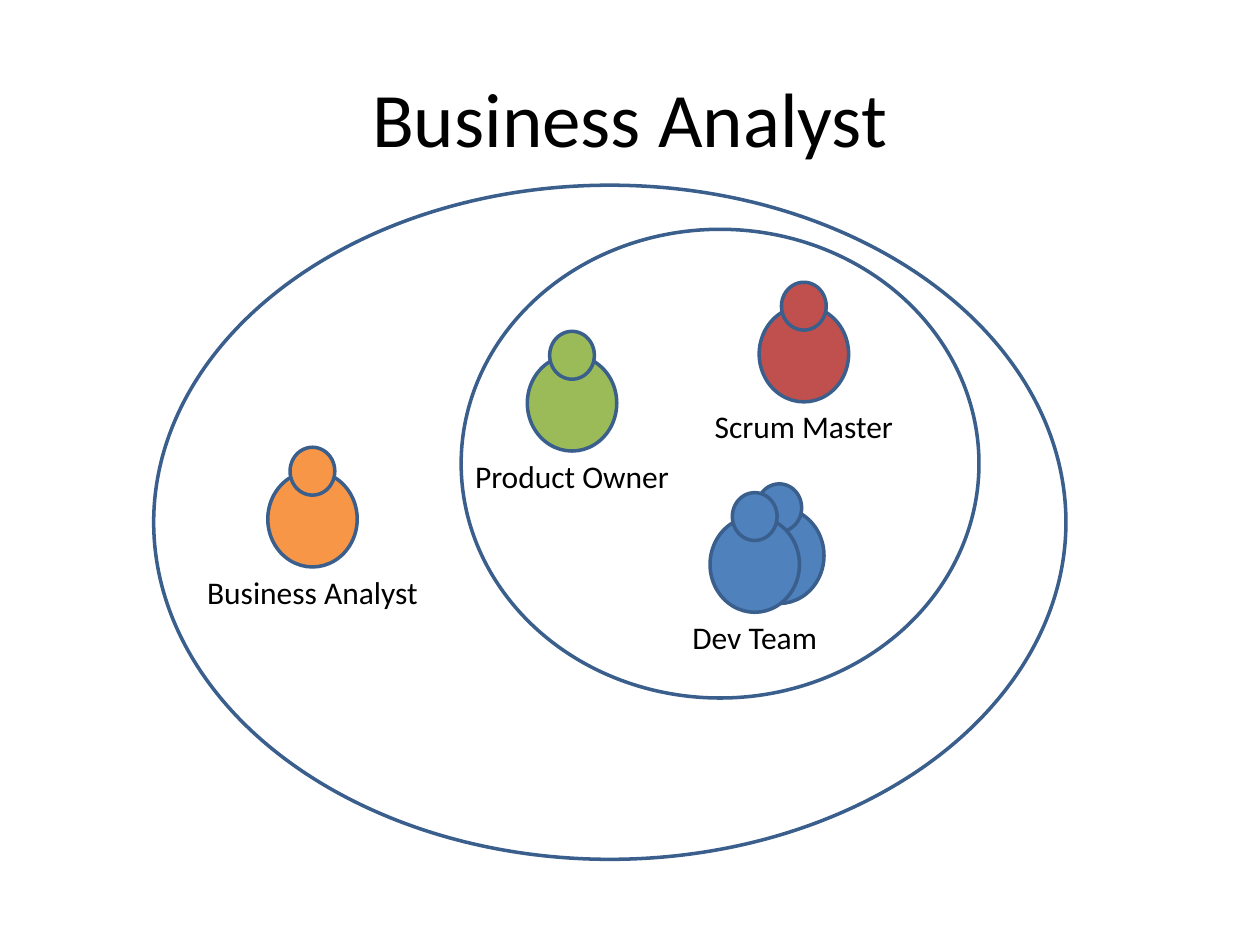
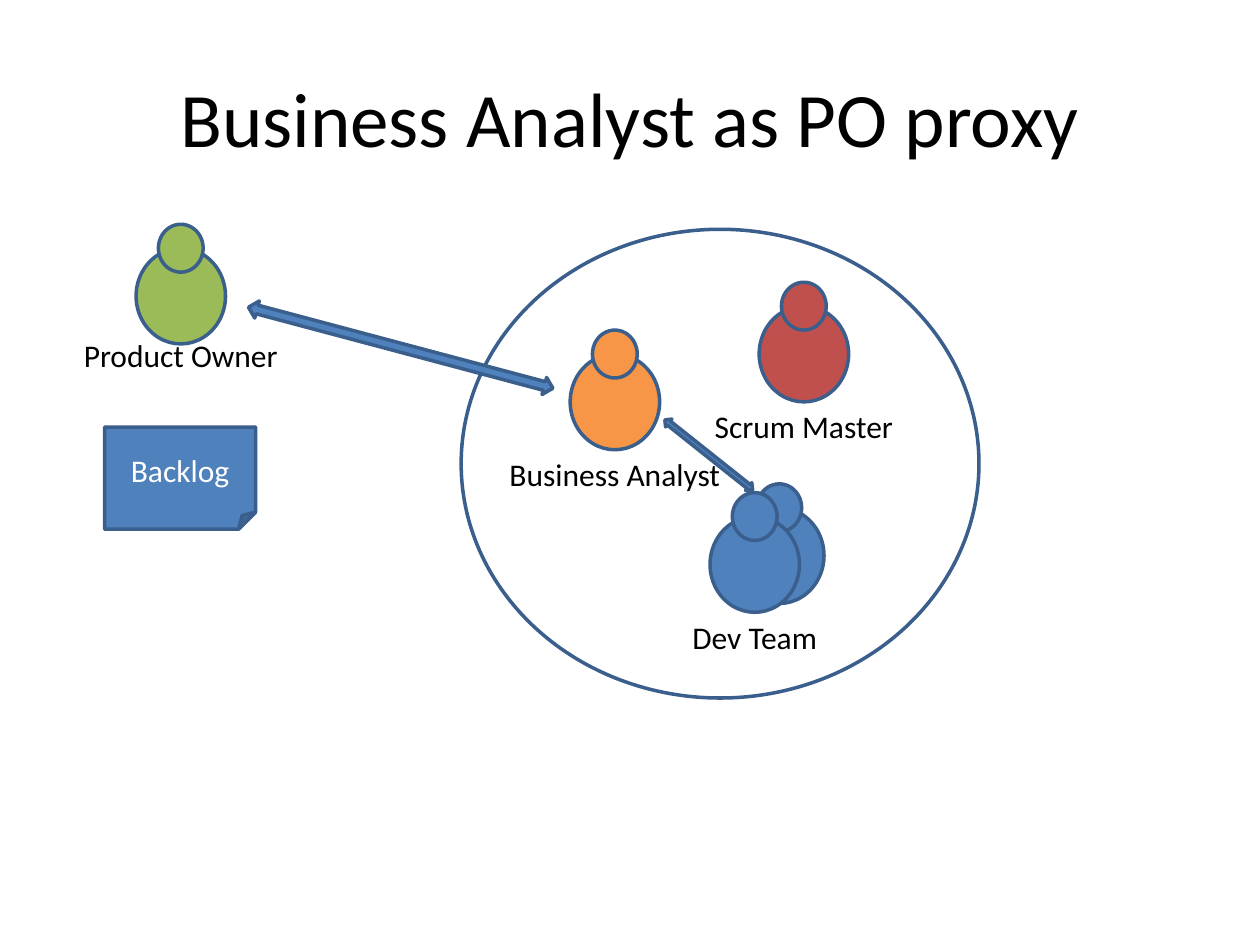
from pptx import Presentation, util as u
from pptx.dml.color import RGBColor
from pptx.enum import shapes, text

# The slide is a grid of 100 columns by 75 rows.
COLS, ROWS = 100, 75
CELL = u.Inches(0.1)
FONT = "Calibri"
INK, PAPER, EDGE = "000000", "FFFFFF", "3A5F8C"
ORANGE, GREEN, RED, BLUE = "F79646", "9BBB59", "C0504D", "4F81BD"
FORM = shapes.MSO_SHAPE


def cells(*sizes):
    """Turn grid counts into slide lengths."""
    return [round(size * CELL) for size in sizes]


def hue(code):
    """Turn a hex string into a colour."""
    return RGBColor.from_string(code)


def write(shape, words, size, color, anchor):
    """Put one centred line of text into a shape."""
    frame = shape.text_frame
    frame.word_wrap = True
    frame.vertical_anchor = anchor
    para = frame.paragraphs[0]
    para.alignment = text.PP_ALIGN.CENTER
    run = para.add_run()
    run.text = words
    run.font.name = FONT
    run.font.size = u.Pt(size)
    run.font.color.rgb = hue(color)


def label(host, words, box, size=18, anchor=text.MSO_ANCHOR.TOP):
    """Add a text box to a slide or group."""
    write(host.shapes.add_textbox(*cells(*box)), words, size, INK, anchor)


def draw(host, form, box, fill=None, turn=0):
    """Add an edged preset shape, hollow when it has no fill."""
    shape = host.shapes.add_shape(form, *cells(*box))
    shape.shadow.inherit = False
    shape.line.color.rgb = hue(EDGE)
    shape.line.width = u.Pt(2)
    if fill:
        shape.fill.solid()
        shape.fill.fore_color.rgb = hue(fill)
    else:
        shape.fill.background()
    shape.rotation = turn
    return shape


def figure(host, mid, top, fill):
    """Draw a body with a head half its size above it."""
    wide, high = 7.1, 7.6
    draw(host, FORM.OVAL, (mid - wide / 2, top + high / 4, wide, high), fill)
    draw(host, FORM.OVAL, (mid - wide / 4, top, wide / 2, high / 2), fill)


def person(host, name, mid, top, fill, drop=9.45):
    """Draw a figure with its name below, on the same middle line."""
    figure(host, mid, top, fill)
    label(host, name, (mid - 12.2, top + drop, 24.4, 4))


def team(slide, owner=None):
    """Group the Scrum team in its circle, with an owner if given."""
    group = slide.shapes.add_group_shape()
    if owner:
        person(group, "Product Owner", *owner, GREEN)
    person(group, "Scrum Master", 63.8, 22.4, RED)
    figure(group, 61.85, 38.4, BLUE)
    person(group, "Dev Team", 59.9, 39.1, BLUE)
    draw(group, FORM.OVAL, (36.6, 18.2, 41.1, 37.2))


def page(deck, title):
    """Add a blank slide with the shared title."""
    slide = deck.slides.add_slide(deck.slide_layouts[6])
    label(slide, title, (5, 3, COLS - 10, 12.5), 44, text.MSO_ANCHOR.MIDDLE)
    return slide


def analyst(deck):
    """Show the analyst outside the team."""
    slide = page(deck, "Business Analyst")
    person(slide, "Business Analyst", 24.8, 35.5, ORANGE)
    team(slide, owner=(45.4, 26.3))
    draw(slide, FORM.OVAL, (12.2, 14.7, 72.4, 53.5))


def proxy(deck):
    """Show the analyst in the team, between owner and developers."""
    slide = page(deck, "Business Analyst as PO proxy")
    person(slide, "Business Analyst", 48.8, 26.2, ORANGE)
    person(slide, "Product Owner", 14.35, 17.8, GREEN, drop=8.4)
    team(slide)
    note = draw(slide, FORM.FOLDED_CORNER, (8.3, 33.9, 12, 8.1), BLUE)
    write(note, "Backlog", 18, PAPER, text.MSO_ANCHOR.MIDDLE)
    for box, turn in (((19.3, 26.9, 25, 1.4), 14.9),
                      ((51.8, 35.7, 8.9, 0.8), 38.5)):
        draw(slide, FORM.LEFT_RIGHT_ARROW, box, BLUE, turn)


def main():
    """Build and save the deck."""
    deck = Presentation()
    deck.slide_width, deck.slide_height = cells(COLS, ROWS)
    analyst(deck)
    proxy(deck)
    deck.save("out.pptx")


main()
